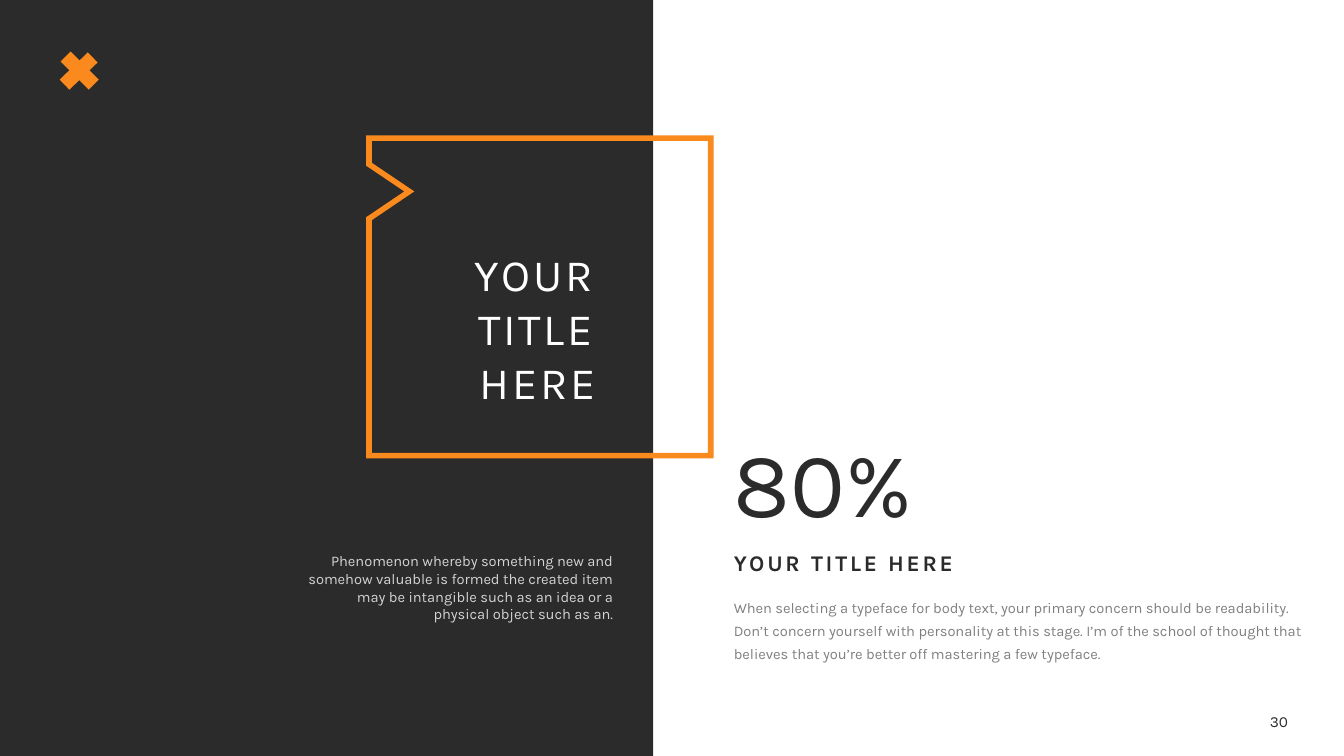
from dataclasses import dataclass

from lxml.etree import SubElement
from pptx import Presentation
from pptx.dml.color import RGBColor
from pptx.enum.shapes import MSO_CONNECTOR as Connector, MSO_SHAPE as Preset
from pptx.enum.text import MSO_ANCHOR as Anchor, MSO_AUTO_SIZE as AutoSize, PP_ALIGN as Align
from pptx.oxml.ns import qn
from pptx.util import Inches, Pt

CHARCOAL = RGBColor(0x2B, 0x2B, 0x2B)
ORANGE = RGBColor(0xFA, 0x89, 0x1E)
WHITE = RGBColor(0xFF, 0xFF, 0xFF)
FONT = "Karla"

WIDTH, HEIGHT = Inches(13.33), Inches(7.5)
PANEL_WIDTH = 48.61
STAT_LEFT, STAT_WIDTH = 53.86, 45.24


def col(share: float) -> int:
    """Percent of the slide width."""
    return round(WIDTH * share / 100)


def row(share: float) -> int:
    """Percent of the slide height."""
    return round(HEIGHT * share / 100)


@dataclass(frozen=True)
class Copy:
    text: str
    left: float
    top: float
    width: float
    height: float
    size: float
    color: RGBColor = CHARCOAL
    opacity: int = 100
    align: Align = Align.LEFT
    anchor: Anchor = Anchor.TOP
    line_spacing: float = 1.0
    tracking: int = 0
    bold: bool = False
    wrap: bool = True


@dataclass(frozen=True)
class Stroke:
    start: tuple[float, float]
    end: tuple[float, float]


HEADLINE = Copy("YOUR TITLE HERE", 30.23, 32, 14.85, 22.93, 32, WHITE,
                align=Align.RIGHT, tracking=2)

COPIES = [
    Copy("Phenomenon whereby something new and somehow valuable is formed the created "
         "item may be intangible such as an idea or a physical object such as an.",
         21.46, 72.4, 24.91, 10.8, 10.5, WHITE, opacity=80, align=Align.RIGHT),
    Copy("80%", STAT_LEFT, 55.6, 15.08, 16.13, 66, wrap=False),
    Copy("YOUR TITLE HERE", STAT_LEFT, 72.4, STAT_WIDTH, 5.47, 16,
         line_spacing=0.9, tracking=2, bold=True),
    Copy("When selecting a typeface for body text, your primary concern should be "
         "readability. Don’t concern yourself with personality at this stage. I’m of the "
         "school of thought that believes that you’re better off mastering a few typeface.",
         STAT_LEFT, 77.87, STAT_WIDTH, 10.53, 10.5, opacity=60, line_spacing=1.3),
    Copy("30", 93.4, 94, 3.53, 2.8, 11, align=Align.CENTER, anchor=Anchor.MIDDLE),
]

CROSS = [Stroke((6.9, 7.6), (4.8, 11.2)), Stroke((6.98, 11.2), (4.88, 7.47))]

FRAME = [(27.46, 18.27), (52.89, 18.27), (52.89, 60.27), (27.46, 60.27),
         (27.46, 28.93), (30.46, 25.33), (27.46, 21.73)]


def write(box, copy: Copy) -> None:
    box.left, box.top = col(copy.left), row(copy.top)
    box.width, box.height = col(copy.width), row(copy.height)
    frame = box.text_frame
    frame.auto_size = AutoSize.NONE
    frame.word_wrap = copy.wrap
    frame.vertical_anchor = copy.anchor
    paragraph = frame.paragraphs[0]
    paragraph.alignment = copy.align
    paragraph.line_spacing = copy.line_spacing
    run = paragraph.add_run()
    run.text = copy.text
    font = run.font
    font.name, font.size, font.bold = FONT, Pt(copy.size), copy.bold
    font.color.rgb = copy.color
    properties = font._element
    if copy.tracking:
        properties.set("spc", str(copy.tracking * 100))
    if copy.opacity < 100:
        tint = properties.find(".//" + qn("a:srgbClr"))
        SubElement(tint, qn("a:alpha")).set("val", str(copy.opacity * 1000))


def draw_stroke(slide, stroke: Stroke) -> None:
    (x1, y1), (x2, y2) = stroke.start, stroke.end
    bar = slide.shapes.add_connector(Connector.STRAIGHT, col(x1), row(y1), col(x2), row(y2))
    bar.line.color.rgb = ORANGE
    bar.line.width = Pt(10)
    SubElement(bar._element.spPr, qn("a:effectLst"))


def draw_frame(slide) -> None:
    corners = [(col(x), row(y)) for x, y in FRAME]
    builder = slide.shapes.build_freeform(*corners[0])
    builder.add_line_segments(corners[1:], close=True)
    outline = builder.convert_to_shape()
    outline.shadow.inherit = False
    outline.fill.background()
    outline.line.color.rgb = ORANGE
    outline.line.width = Pt(4)
    miter = SubElement(outline._element.spPr.find(qn("a:ln")), qn("a:miter"))
    miter.set("lim", "800000")


def main() -> None:
    deck = Presentation()
    deck.slide_width, deck.slide_height = WIDTH, HEIGHT
    slide = deck.slides.add_slide(deck.slide_layouts[5])

    # Dark panel, placed behind the title
    panel = slide.shapes.add_shape(Preset.RECTANGLE, 0, 0, col(PANEL_WIDTH), HEIGHT)
    panel.shadow.inherit = False
    panel.fill.solid()
    panel.fill.fore_color.rgb = CHARCOAL
    panel.line.fill.background()
    headline = slide.shapes.title
    headline._element.addprevious(panel._element)

    # Title and other text
    write(headline, HEADLINE)
    for copy in COPIES:
        write(slide.shapes.add_textbox(0, 0, 0, 0), copy)

    # Orange cross and notched frame
    for stroke in CROSS:
        draw_stroke(slide, stroke)
    draw_frame(slide)

    deck.save("out.pptx")


if __name__ == "__main__":
    main()
